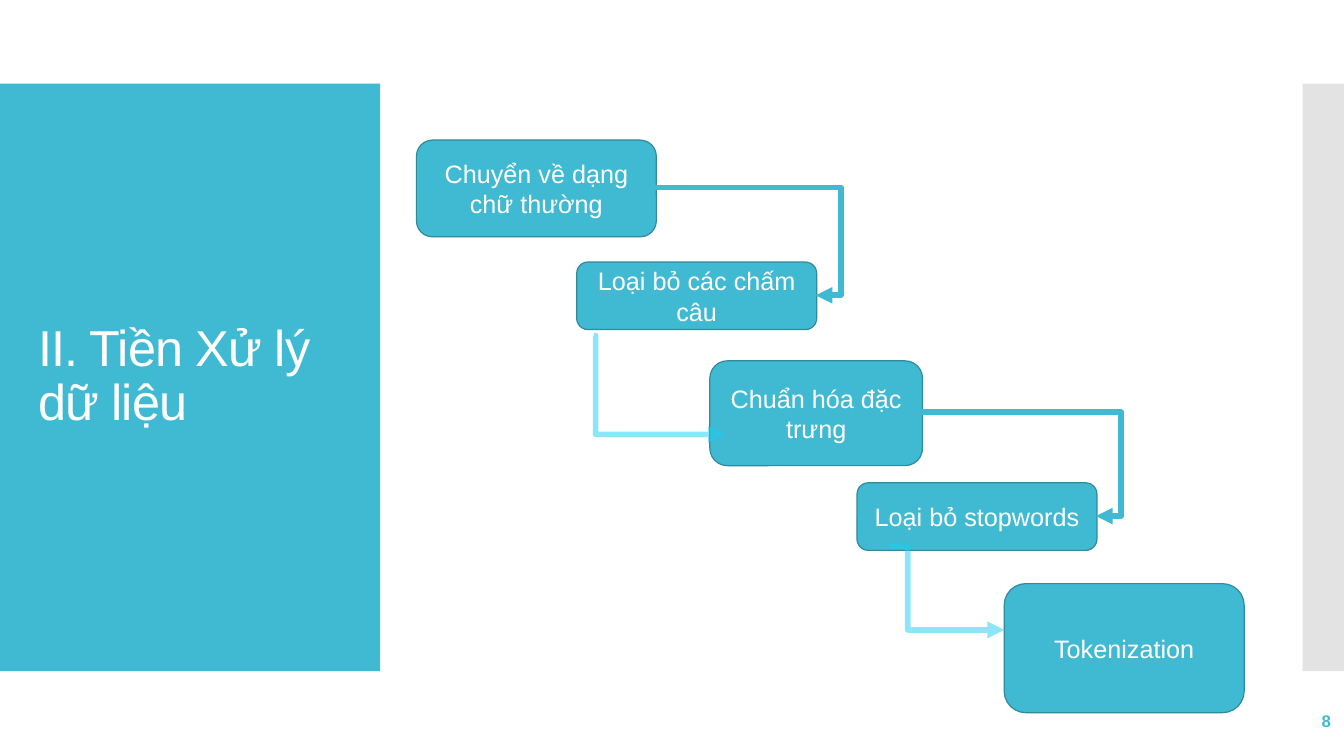
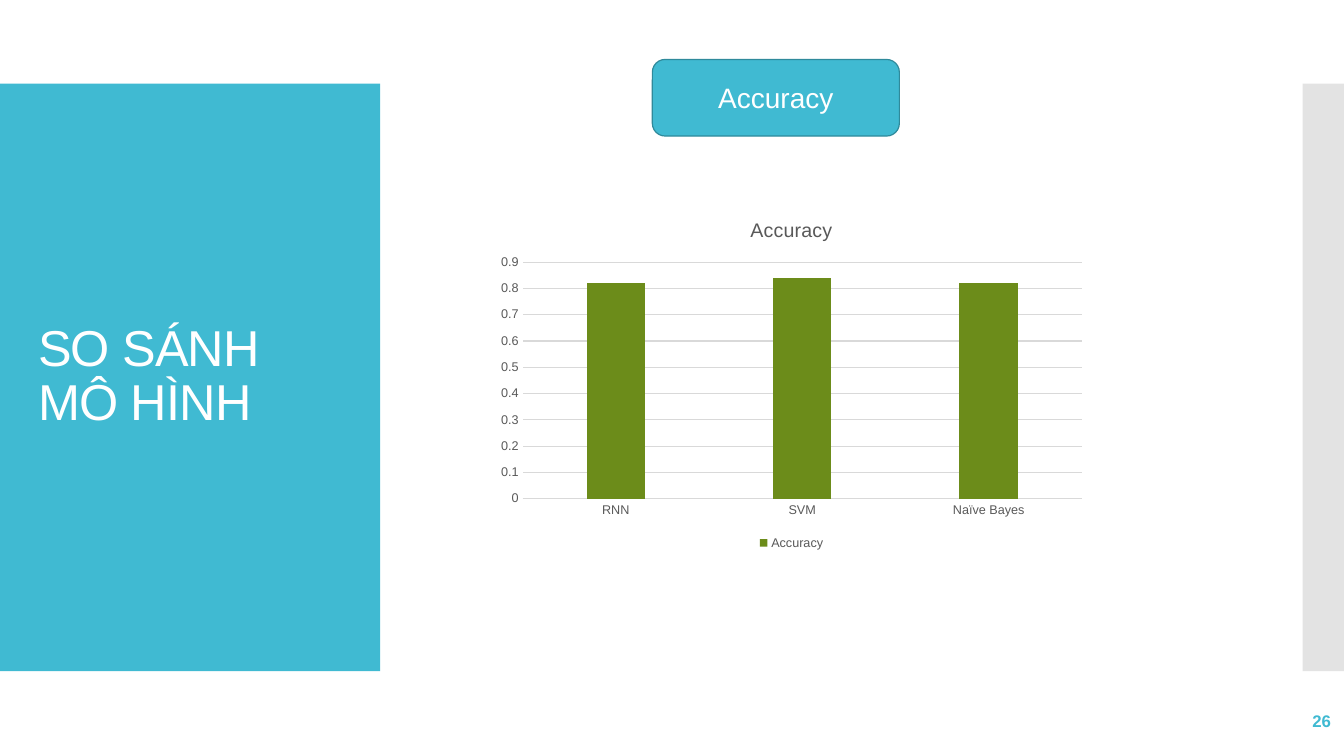
from dataclasses import dataclass
from typing import Any

from lxml import etree
from pptx import Presentation
from pptx.chart.data import CategoryChartData
from pptx.dml.color import RGBColor
from pptx.enum.chart import XL_CHART_TYPE, XL_LEGEND_POSITION, XL_TICK_MARK
from pptx.enum.shapes import MSO_CONNECTOR, MSO_SHAPE
from pptx.enum.text import MSO_ANCHOR, PP_ALIGN
from pptx.oxml.ns import qn
from pptx.util import Inches, Pt

COLUMNS = XL_CHART_TYPE.COLUMN_CLUSTERED
BOTTOM = XL_LEGEND_POSITION.BOTTOM
NO_TICK = XL_TICK_MARK.NONE
ELBOW = MSO_CONNECTOR.ELBOW
RECT = MSO_SHAPE.RECTANGLE
ROUND = MSO_SHAPE.ROUNDED_RECTANGLE
MIDDLE = MSO_ANCHOR.MIDDLE
LEFT, CENTER, RIGHT = PP_ALIGN.LEFT, PP_ALIGN.CENTER, PP_ALIGN.RIGHT

FONT = "Arial"
TEAL, EDGE, CYAN = "40BAD2", "2F8A9B", "1BCEF1"
WHITE, BLACK, SILVER = "FFFFFF", "000000", "C8C8C8"
GREEN, GRAY, GRID = "6C8C1A", "595959", "D9D9D9"


@dataclass(frozen=True)
class Area:
    """A place on the slide, in inches."""
    left: float
    top: float
    width: float
    height: float


@dataclass(frozen=True)
class Style:
    """The look of a line of text."""
    size: float
    color: str
    align: Any = LEFT
    bold: bool = False


@dataclass(frozen=True)
class Band:
    """A plain block at the side of every slide."""
    area: Area
    color: str
    alpha: int = 100


@dataclass(frozen=True)
class Box:
    """A rounded box with its label."""
    text: str
    area: Area
    size: float = 18


@dataclass(frozen=True)
class Arrow:
    """A bent arrow; bend is the turn as a share of its width."""
    start: tuple[float, float]
    end: tuple[float, float]
    bend: float
    color: str = TEAL
    alpha: int = 100


TITLE = Style(36, WHITE)
NUMBER = Style(12, TEAL, RIGHT, True)
NUMBER_AREA = Area(11.63, 6.95, 1.67, 0.4)
BANDS = [
    Band(Area(0, 0.83, 3.77, 5.83), TEAL),
    Band(Area(12.92, 0.83, 0.42, 5.83), SILVER, 50),
]
STEPS = [
    Box("Chuyển về dạng chữ thường", Area(4.13, 1.39, 2.38, 0.96)),
    Box("Loại bỏ các chấm câu", Area(5.72, 2.6, 2.38, 0.67)),
    Box("Chuẩn hóa đặc trưng", Area(7.04, 3.58, 2.11, 1.04)),
    Box("Loại bỏ stopwords", Area(8.5, 4.79, 2.38, 0.67)),
    Box("Tokenization", Area(9.96, 5.79, 2.38, 1.28)),
]
ARROWS = [
    Arrow((6.5, 1.86), (8.09, 2.93), 1.157),
    Arrow((5.89, 3.33), (7.19, 4.31), 0.014, CYAN, 50),
    Arrow((9.14, 4.09), (10.87, 5.12), 1.145),
    Arrow((8.83, 5.42), (9.96, 6.25), 0.154, CYAN, 50),
]
SCORES = {"RNN": 0.82, "SVM": 0.84, "Naïve Bayes": 0.82}


def rgb(color: str) -> RGBColor:
    """Turn a hex string into a colour."""
    return RGBColor.from_string(color)


def apply(target: Any, values: dict[str, Any]) -> None:
    """Set each named value on the target."""
    for name, value in values.items():
        setattr(target, name, value)


def place(area: Area) -> tuple[int, ...]:
    """Give an area as slide lengths."""
    return tuple(Inches(n) for n in (area.left, area.top, area.width, area.height))


def fade(shape: Any, alpha: int) -> None:
    """Set the opacity of the first colour of a shape, in percent."""
    if alpha < 100:
        tint = next(shape._element.spPr.iter(qn("a:srgbClr")))
        etree.SubElement(tint, qn("a:alpha"), val=str(alpha * 1000))


def ink(font: Any, style: Style) -> None:
    """Give a font its face, size, weight and colour."""
    apply(font, {"name": FONT, "size": Pt(style.size), "bold": style.bold})
    font.color.rgb = rgb(style.color)


def stroke(line: Any, color: str, width: float) -> None:
    """Give a line its colour and width."""
    line.color.rgb = rgb(color)
    line.width = Pt(width)


def write(shape: Any, text: str, style: Style) -> Any:
    """Fill a shape with one paragraph and return that paragraph."""
    frame = shape.text_frame
    apply(frame, {"word_wrap": True, "vertical_anchor": MIDDLE})
    para = frame.paragraphs[0]
    para.alignment = style.align
    run = para.add_run()
    run.text = text
    ink(run.font, style)
    return para


def block(slide: Any, kind: Any, area: Area, color: str) -> Any:
    """Add a filled shape without shadow or outline."""
    shape = slide.shapes.add_shape(kind, *place(area))
    shape.shadow.inherit = False
    shape.fill.solid()
    shape.fill.fore_color.rgb = rgb(color)
    shape.line.fill.background()
    return shape


def add_box(slide: Any, box: Box) -> None:
    """Draw a rounded box."""
    shape = block(slide, ROUND, box.area, TEAL)
    stroke(shape.line, EDGE, 0.85)
    write(shape, box.text, Style(box.size, WHITE, CENTER))


def add_arrow(slide: Any, arrow: Arrow) -> None:
    """Draw a bent arrow."""
    ends = [Inches(n) for n in arrow.start + arrow.end]
    link = slide.shapes.add_connector(ELBOW, *ends)
    stroke(link.line, arrow.color, 4)
    fade(link, arrow.alpha)
    props = link._element.spPr
    turn = f"val {round(arrow.bend * 100000)}"
    guides = next(props.iter(qn("a:avLst")))
    etree.SubElement(guides, qn("a:gd"), name="adj1", fmla=turn)
    etree.SubElement(props.find(qn("a:ln")), qn("a:tailEnd"), type="triangle")
    etree.SubElement(props, qn("a:effectLst"))


def add_page(deck: Any, title: str, number: int, width: float) -> Any:
    """Start a slide with the shared bands, title and number."""
    slide = deck.slides.add_slide(deck.slide_layouts[6])
    for band in BANDS:
        fade(block(slide, RECT, band.area, band.color), band.alpha)
    head = slide.shapes.add_textbox(*place(Area(0.28, 1.23, width, 5.03)))
    para = write(head, title, TITLE)
    para.line_spacing = 0.9
    para.runs[0].font._element.set("spc", "-60")
    foot = slide.shapes.add_textbox(*place(NUMBER_AREA))
    write(foot, str(number), NUMBER)
    return slide


def add_scores(slide: Any, area: Area) -> None:
    """Draw the column chart of model scores."""
    data = CategoryChartData()
    data.categories = list(SCORES)
    data.add_series("Accuracy", list(SCORES.values()))
    chart = slide.shapes.add_chart(COLUMNS, *place(area), data).chart
    ink(chart.font, Style(10, BLACK))
    chart.has_title = True
    title = chart.chart_title.text_frame
    title.text = "Accuracy"
    ink(title.paragraphs[0].runs[0].font, Style(14, GRAY))
    chart.has_legend = True
    apply(chart.legend, {"position": BOTTOM, "include_in_layout": False})

    plot = chart.plots[0]
    apply(plot, {"gap_width": 219, "overlap": -27, "vary_by_categories": False})
    bars = plot.series[0].format.fill
    bars.solid()
    bars.fore_color.rgb = rgb(GREEN)

    cats, vals = chart.category_axis, chart.value_axis
    for axis in (cats, vals):
        apply(axis, {"major_tick_mark": NO_TICK, "minor_tick_mark": NO_TICK})
    for part in (cats.tick_labels, vals.tick_labels, chart.legend):
        ink(part.font, Style(9, GRAY))
    apply(vals, {"minimum_scale": 0, "maximum_scale": 0.9, "major_unit": 0.1})
    vals.format.line.fill.background()
    for line in (cats.format.line, vals.major_gridlines.format.line):
        stroke(line, GRID, 0.75)


def main() -> None:
    """Build both slides and save them."""
    deck = Presentation()
    apply(deck, {"slide_width": Inches(13.33), "slide_height": Inches(7.5)})

    flow = add_page(deck, "II. Tiền Xử lý dữ liệu", 8, 3.25)
    for step in STEPS:
        add_box(flow, step)
    for arrow in ARROWS:
        add_arrow(flow, arrow)

    score = add_page(deck, "SO SÁNH MÔ HÌNH", 26, 3.3)
    add_box(score, Box("Accuracy", Area(6.47, 0.59, 2.45, 0.76), 20))
    add_scores(score, Area(4.85, 2, 6, 3.5))

    deck.save("out.pptx")


main()
